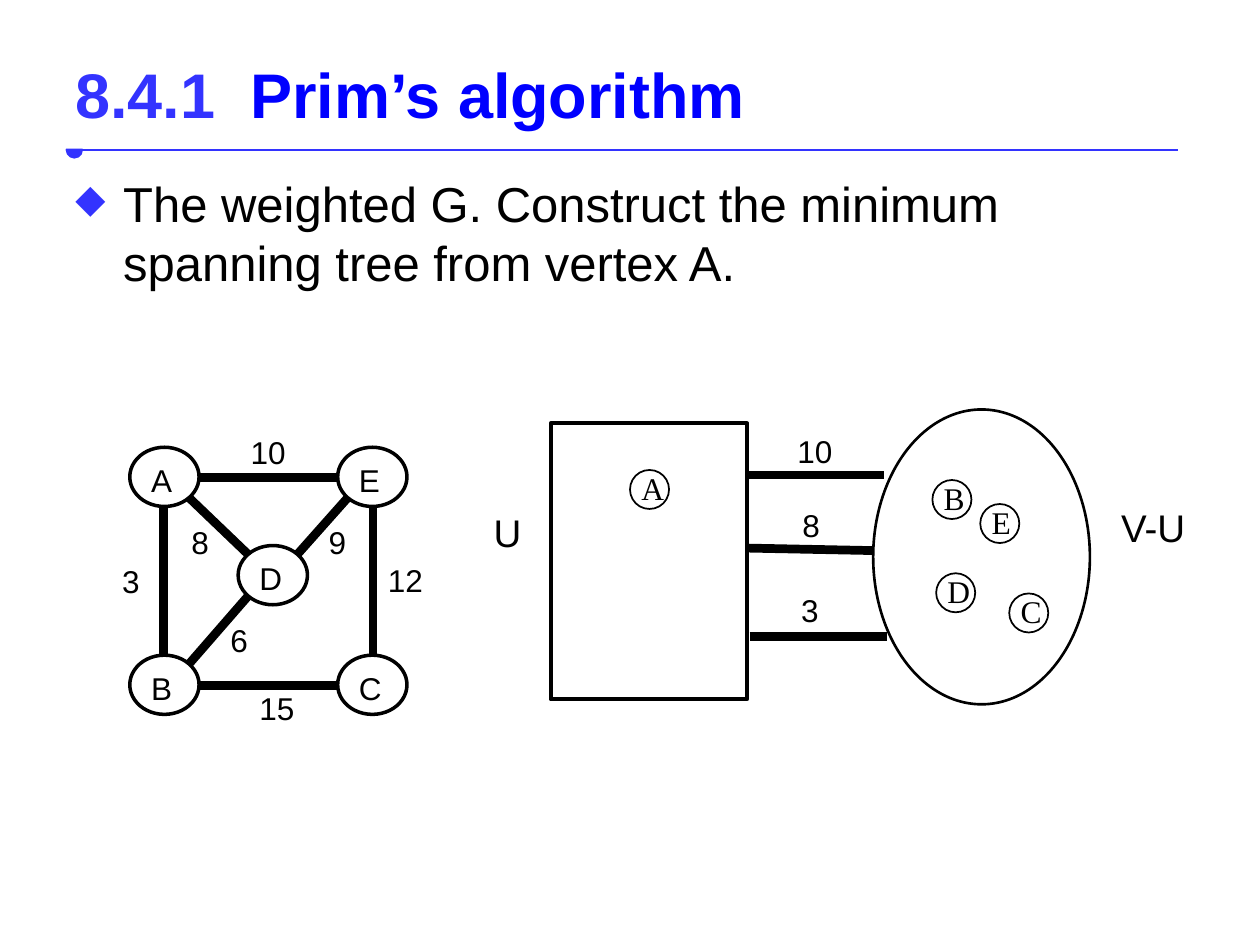
"""Build the slide on Prim's algorithm: a weighted graph and its cut from vertex A."""
from lxml.etree import SubElement
from pptx import Presentation
from pptx.dml.color import RGBColor
from pptx.enum.shapes import MSO_CONNECTOR as Link, MSO_SHAPE as Kind
from pptx.enum.text import MSO_ANCHOR as Anchor, MSO_AUTO_SIZE as Fit
from pptx.oxml.ns import qn
from pptx.util import Inches, Pt

COLORS = {"ink": "000000", "paper": "FFFFFF", "accent": "3333FF", "title": "0000FF"}
SANS, SERIF = "Arial", "Times New Roman"

TITLE = [("8.4.1  ", "accent"), ("Prim’s algorithm", "title")]
TASK = "The weighted G. Construct the minimum spanning tree from vertex A."

NODE = (0.55, 0.47)
NODES = {"A": (1.03, 3.55), "B": (1.03, 5.2), "C": (2.68, 5.2),
         "D": (1.89, 4.33), "E": (2.68, 3.55)}
EDGES = [
    ("10", (1.58, 3.79), (2.68, 3.79), (1.89, 3.39)),
    ("3", (1.3, 4.02), (1.3, 5.2), (0.87, 4.41)),
    ("8", (1.5, 3.95), (1.97, 4.4), (1.42, 4.1)),
    ("15", (1.58, 5.44), (2.68, 5.44), (1.96, 5.42)),
    ("6", (1.5, 5.27), (1.97, 4.73), (1.73, 4.88)),
    ("9", (2.36, 4.4), (2.76, 3.95), (2.51, 4.1)),
    ("12", (2.96, 4.02), (2.96, 5.2), (2.98, 4.4)),
]

DOT = 0.31
DOTS = {"A": (5, 3.73), "B": (7.4, 3.81), "C": (8.01, 4.71),
        "D": (7.43, 4.55), "E": (7.78, 4)}
CUT = [
    ("10", (5.92, 3.77), (7.02, 3.77), (6.23, 3.38)),
    ("8", (5.92, 4.35), (6.93, 4.37), (6.27, 3.97)),
    ("3", (5.95, 5.05), (7.04, 5.05), (6.26, 4.64)),
]
SETS = [
    ("U", Kind.RECTANGLE, (4.37, 3.36, 1.56, 2.19), 2.25, (3.82, 3.99, 0.39, 0.47)),
    ("V-U", Kind.OVAL, (6.93, 3.25, 1.72, 2.34), 1.5, (8.8, 3.95, 0.86, 0.47)),
]


def color(name):
    return RGBColor.from_string(COLORS[name])


def style(run, size, tone="ink", face=SANS, bold=False):
    font = run.font
    font.name, font.size, font.bold = face, Pt(size), bold
    font.color.rgb = color(tone)


def add_text(shapes, text, box, size=18, face=SANS):
    item = shapes.add_textbox(*map(Inches, box))
    frame = item.text_frame
    frame.text = text
    frame.word_wrap = True
    frame.auto_size = Fit.SHAPE_TO_FIT_TEXT
    style(frame.paragraphs[0].runs[0], size, face=face)
    return frame


def add_shape(shapes, kind, box, width):
    item = shapes.add_shape(kind, *map(Inches, box))
    item.shadow.inherit = False
    item.fill.solid()
    item.fill.fore_color.rgb = color("paper")
    item.line.color.rgb = color("ink")
    item.line.width = Pt(width)


def add_line(shapes, start, end, width=5, tone="ink"):
    item = shapes.add_connector(Link.STRAIGHT, *map(Inches, start + end))
    item.line.color.rgb = color(tone)
    item.line.width = Pt(width)
    SubElement(item._element.spPr, qn("a:effectLst"))
    return item


def add_edges(shapes, edges):
    for weight, start, end, (x, y) in edges:
        add_line(shapes, start, end)
        add_text(shapes, weight, (x, y, 0.23 + 0.16 * len(weight), 0.4))


def add_panel(slide, box):
    item = slide.shapes.add_textbox(*map(Inches, box))
    item.fill.solid()
    item.fill.fore_color.rgb = color("paper")
    item.text_frame.word_wrap = True
    return item.text_frame


def add_head(slide):
    rule = add_line(slide.shapes, (0.59, 1.19), (9.35, 1.19), 1.5, "accent")
    SubElement(rule.line._get_or_add_ln(), qn("a:headEnd"), type="oval", w="lg", len="lg")
    frame = add_panel(slide, (0.5, 0.3, 9, 0.88))
    frame.vertical_anchor = Anchor.MIDDLE
    for text, tone in TITLE:
        run = frame.paragraphs[0].add_run()
        run.text = text
        style(run, 36, tone, bold=True)


def add_task(slide):
    frame = add_panel(slide, (0.5, 1.33, 9, 1.41))
    frame.text = TASK
    para = frame.paragraphs[0]
    props = para._p.get_or_add_pPr()
    props.set("marL", str(Inches(0.38)))
    props.set("indent", str(Inches(-0.38)))
    tint = SubElement(props, qn("a:buClr"))
    SubElement(tint, qn("a:srgbClr"), val=COLORS["accent"])
    SubElement(props, qn("a:buSzPct"), val="80000")
    SubElement(props, qn("a:buChar"), char="◆")
    style(para.runs[0], 28)


def add_graph(shapes):
    for x, y in NODES.values():
        add_shape(shapes, Kind.OVAL, (x, y, *NODE), 2)
    add_edges(shapes, EDGES)
    for name, (x, y) in NODES.items():
        add_text(shapes, name, (x + 0.07, y + 0.06, 0.39, 0.4))


def add_cut(shapes):
    for name, kind, box, width, place in SETS:
        add_shape(shapes, kind, box, width)
        add_text(shapes, name, place, 22)
    for name, (x, y) in DOTS.items():
        add_shape(shapes, Kind.OVAL, (x, y, DOT, DOT), 1)
        frame = add_text(shapes, name, (x + 0.09, y - 0.01, 0.17, 0.3), face=SERIF)
        frame.vertical_anchor = Anchor.MIDDLE
        frame.margin_left = frame.margin_right = 0
        frame.margin_top = frame.margin_bottom = 0
        frame.word_wrap = False
    add_edges(shapes, CUT)


def main():
    deck = Presentation()
    deck.slide_width, deck.slide_height = Inches(10), Inches(7.5)
    slide = deck.slides.add_slide(deck.slide_layouts[6])
    add_head(slide)
    add_task(slide)
    add_graph(slide.shapes)
    add_cut(slide.shapes.add_group_shape().shapes)
    deck.save("out.pptx")


if __name__ == "__main__":
    main()
